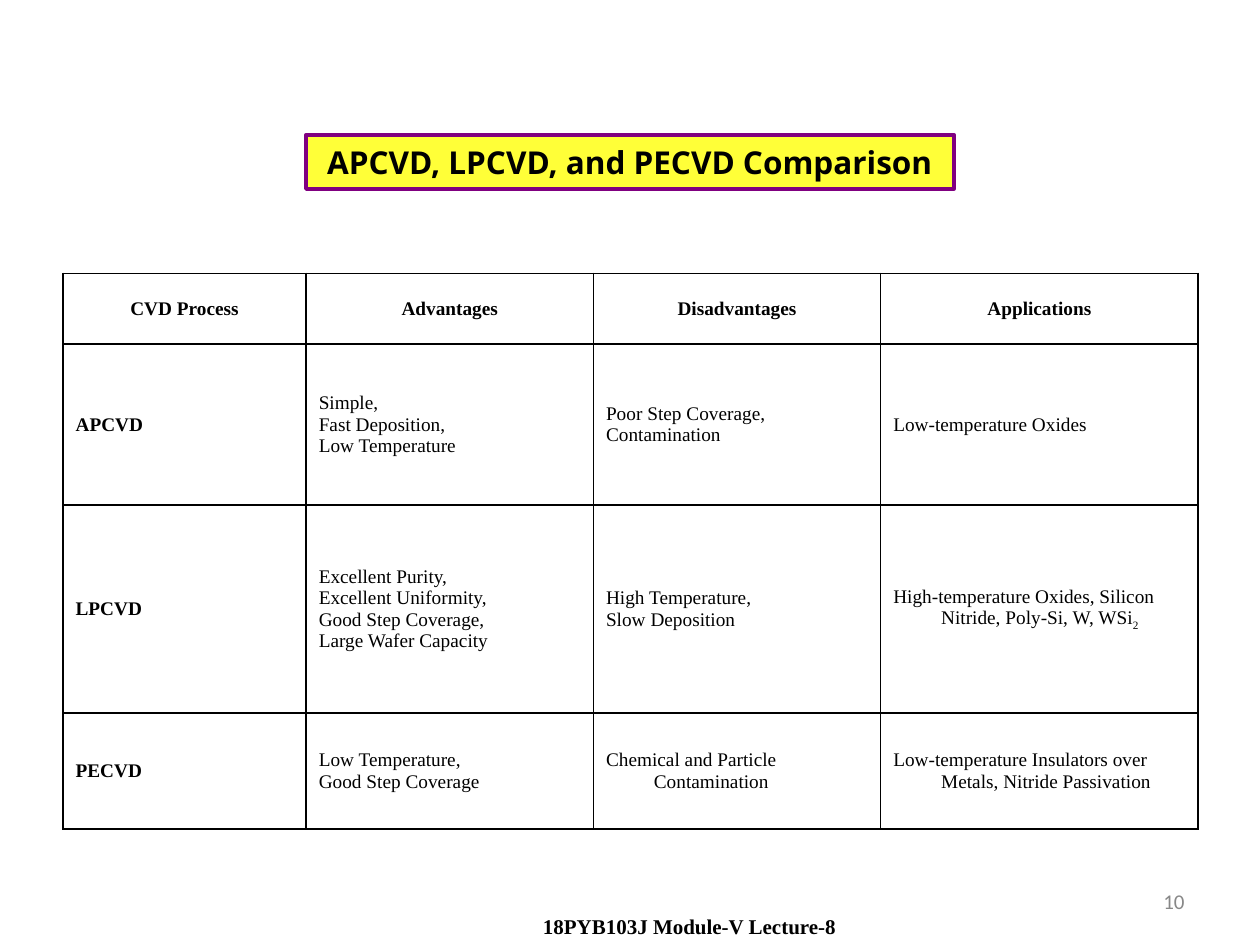
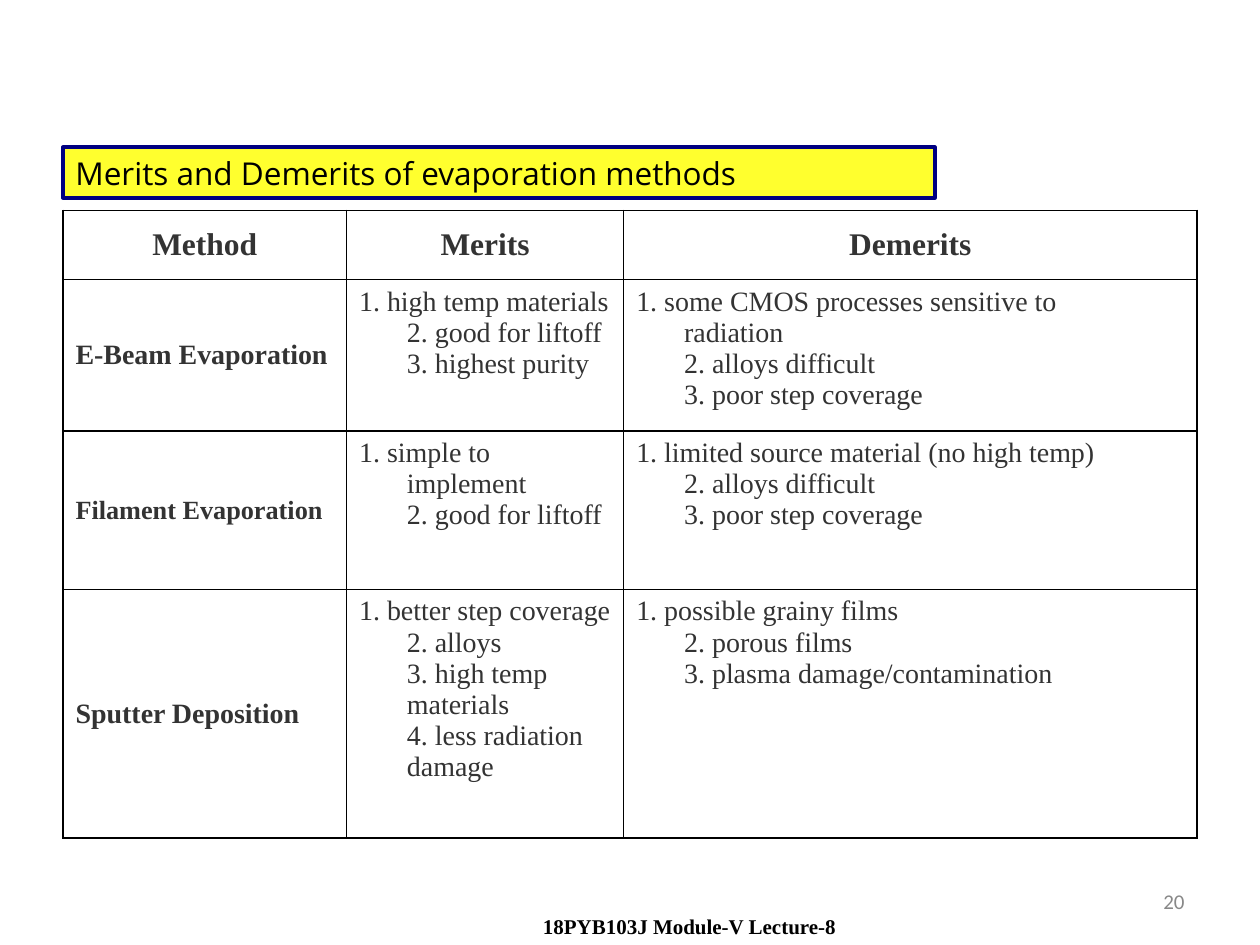
from pptx import Presentation, util as u
from pptx.dml.color import RGBColor
from pptx.enum import shapes, text
from pptx.oxml.xmlchemy import OxmlElement

PX = 9144  # 100 px to the inch
SERIF, SANS, PLAIN = "Times New Roman", "Open Sans", "Calibri"
BLACK, CHARCOAL, GREY, YELLOW = "000000", "333333", "888888", "FFFF00"
PURPLE, NAVY = "800080", "000080"
LEFT, CENTER, RIGHT = text.PP_ALIGN.LEFT, text.PP_ALIGN.CENTER, text.PP_ALIGN.RIGHT
TOP, MIDDLE = text.MSO_ANCHOR.TOP, text.MSO_ANCHOR.MIDDLE
FOOTER = "18PYB103J Module-V Lecture-8"


def px(*lengths):
    return [u.Emu(length * PX) for length in lengths]


def rgb(color):
    return RGBColor.from_string(color)


def child(parent, tag, **attributes):
    """Append an XML element with the given attributes."""
    element = OxmlElement(tag)
    for name, value in attributes.items():
        element.set(name, str(value))
    parent.append(element)
    return element


class Lecture:
    """Holds the deck, its style and the current page."""

    def __init__(self):
        self.deck = Presentation()
        self.deck.slide_width, self.deck.slide_height = px(1000, 750)
        self.page = None

    def new_page(self, number):
        self.page = self.deck.slides.add_slide(self.deck.slide_layouts[6])
        self.label(str(number), (717, 695, 233, 40), PLAIN, GREY, align=RIGHT, anchor=MIDDLE)
        self.label(FOOTER, (333, 720, 400, 30), SERIF, BLACK, bold=True, inset=98)

    def style(self, para, font, size, color, bold=False, align=LEFT):
        para.alignment = align
        para.font.name, para.font.size, para.font.bold = font, u.Pt(size), bold
        para.font.color.rgb = rgb(color)

    def label(self, words, place, font, color, bold=False, align=LEFT, anchor=TOP, inset=10):
        frame = self.page.shapes.add_textbox(*px(*place)).text_frame
        frame.word_wrap = True
        frame.vertical_anchor = anchor
        frame.margin_left = px(inset)[0]
        para = frame.paragraphs[0]
        para.text = words
        self.style(para, font, 12, color, bold, align)

    def title(self, words, place, line, opacity, bold=False, align=LEFT):
        box = self.page.shapes.add_shape(shapes.MSO_SHAPE.RECTANGLE, *px(*place))
        box.shadow.inherit = False
        box.fill.solid()
        box.fill.fore_color.rgb = rgb(YELLOW)
        shade = box.fill._xPr.find(".//{*}solidFill/{*}srgbClr")
        child(shade, "a:alpha", val=opacity * 1000)
        box.line.color.rgb = rgb(line)
        box.line.width = u.Pt(2.25)
        box.text_frame.vertical_anchor = MIDDLE
        para = box.text_frame.paragraphs[0]
        para.text = words
        self.style(para, SANS, 18, BLACK, bold, align)

    def table(self, top, widths, heights, rows, color, header_size, body_size, body_anchor):
        """Draw a grid with a bold header row and a bold first column."""
        place = px(50, top, sum(widths), sum(heights))
        table = self.page.shapes.add_table(len(rows), len(widths), *place).table
        table.first_row = table.horz_banding = False
        for column, width in zip(table.columns, px(*widths)):
            column.width = width
        for row, height in zip(table.rows, px(*heights)):
            row.height = height
        for i, row in enumerate(rows):
            for j, words in enumerate(row):
                cell = table.cell(i, j)
                self.border(cell)
                heading = i == 0 or j == 0
                cell.vertical_anchor = MIDDLE if heading else body_anchor
                self.fill_cell(cell, words, header_size if i == 0 else body_size,
                               color, heading, CENTER if i == 0 else LEFT)
        return table

    def border(self, cell):
        properties = cell._tc.get_or_add_tcPr()
        for side in "LRTB":
            line = child(properties, f"a:ln{side}", w=u.Pt(1))
            child(child(line, "a:solidFill"), "a:srgbClr", val=BLACK)
        cell.fill.background()

    def fill_cell(self, cell, words, size, color, bold, align):
        """Set hanging paragraphs, one per line; an underscore starts a subscript."""
        frame = cell.text_frame
        for k, line in enumerate(words.split("\n")):
            para = frame.add_paragraph() if k else frame.paragraphs[0]
            para.text, _, subscript = line.partition("_")
            if subscript:
                span = para.add_run()
                span.text = subscript
                span._r.get_or_add_rPr().set("baseline", "-25000")
            indent = px(38)[0]
            properties = para._p.get_or_add_pPr()
            properties.set("marL", str(indent))
            properties.set("indent", str(-indent))
            self.style(para, SERIF, size, color, bold, align)


def numbered(*items):
    """Number the items, each on a new line of one paragraph."""
    return "\v".join(f"{n}. {item}" for n, item in enumerate(items, 1))


def comparison_page(lecture):
    lecture.new_page(10)
    rows = [
        ("CVD Process", "Advantages", "Disadvantages", "Applications"),
        ("APCVD", "Simple,\nFast Deposition,\nLow Temperature",
         "Poor Step Coverage,\nContamination", "Low-temperature Oxides"),
        ("LPCVD",
         "Excellent Purity,\nExcellent Uniformity,\nGood Step Coverage,\nLarge Wafer Capacity",
         "High Temperature,\nSlow Deposition",
         "High-temperature Oxides, Silicon Nitride, Poly-Si, W, WSi_2"),
        ("PECVD", "Low Temperature,\nGood Step Coverage",
         "Chemical and Particle Contamination",
         "Low-temperature Insulators over Metals, Nitride Passivation"),
    ]
    lecture.table(217, (193, 228, 228, 252), (56, 128, 165, 92), rows, BLACK, 11, 11, MIDDLE)
    lecture.title("APCVD, LPCVD, and PECVD Comparison", (243, 107, 514, 43),
                  PURPLE, 78, bold=True, align=CENTER)


def merits_page(lecture):
    lecture.new_page(20)
    shared = ("alloys difficult", "poor step coverage")
    rows = [
        ("Method", "Merits", "Demerits"),
        ("E-Beam Evaporation",
         numbered("high temp materials", "good for liftoff", "highest purity"),
         numbered("some CMOS processes sensitive to\vradiation", *shared)),
        ("Filament Evaporation", numbered("simple to implement", "good for liftoff"),
         numbered("limited source material (no high temp)", *shared)),
        ("Sputter Deposition",
         numbered("better step coverage", "alloys", "high temp materials",
                  "less radiation damage"),
         numbered("possible grainy films", "porous films", "plasma damage/contamination")),
    ]
    table = lecture.table(167, (225, 220, 455), (55, 120, 126, 197), rows,
                          CHARCOAL, 18, 16, TOP)
    filament = table.cell(2, 0).text_frame.paragraphs[0]
    filament.font.size = u.Pt(15)
    lecture.title("Merits and Demerits of evaporation methods", (50, 117, 692, 40), NAVY, 82)


def main():
    lecture = Lecture()
    comparison_page(lecture)
    merits_page(lecture)
    lecture.deck.save("out.pptx")


if __name__ == "__main__":
    main()
